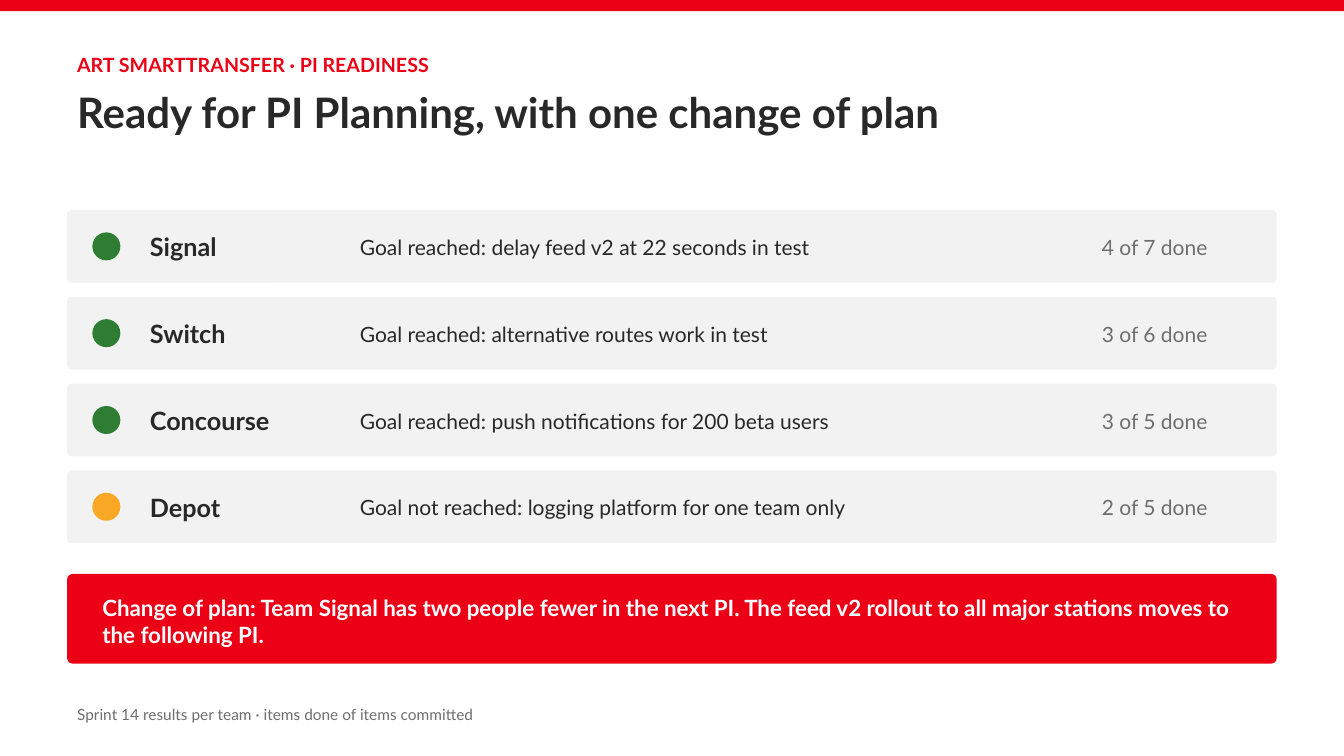
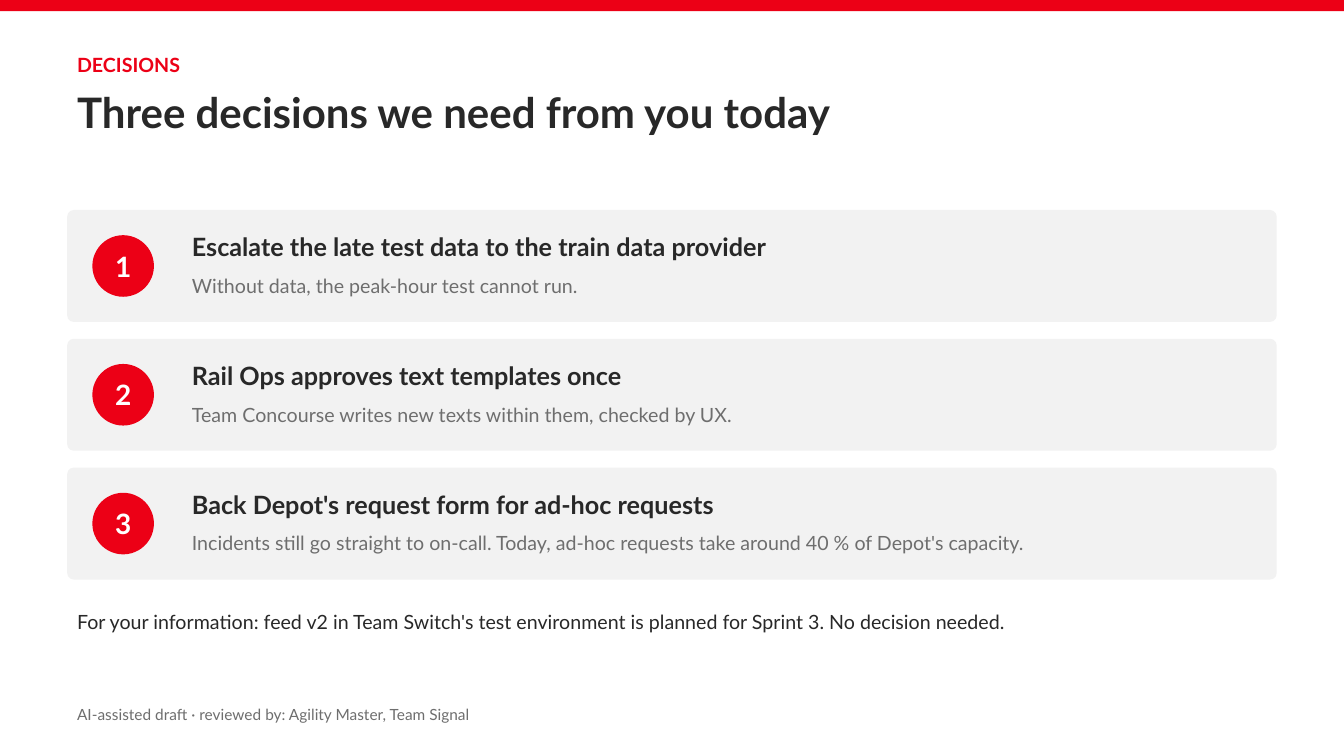
"""Build the PI readiness and decision slides."""
from dataclasses import dataclass

from pptx import Presentation
from pptx.dml.color import RGBColor
from pptx.enum.shapes import MSO_SHAPE
from pptx.enum.text import MSO_ANCHOR, MSO_AUTO_SIZE, PP_ALIGN
from pptx.shapes.autoshape import Shape
from pptx.slide import Slide
from pptx.util import Pt

COLORS = {
    "red": "EC0016",
    "ink": "282828",
    "gray": "6E6E6E",
    "panel": "F2F2F2",
    "green": "2E7D32",
    "amber": "F9A825",
    "white": "FFFFFF",
}
FONT = "Lato"
SLIDE_WIDTH, SLIDE_HEIGHT = 960, 540
MARGIN = 48
CONTENT_WIDTH = SLIDE_WIDTH - 2 * MARGIN
MARKER_LEFT = 66
LIST_TOP = 150
CORNER = 0.06


@dataclass(frozen=True)
class Box:
    left: float
    top: float
    width: float
    height: float

    def lengths(self) -> tuple[Pt, Pt, Pt, Pt]:
        return Pt(self.left), Pt(self.top), Pt(self.width), Pt(self.height)


@dataclass(frozen=True)
class Style:
    size: float
    color: str = "ink"
    bold: bool = False


@dataclass(frozen=True)
class TeamResult:
    team: str
    goal: str
    done: str
    status: str = "green"


@dataclass(frozen=True)
class Decision:
    request: str
    reason: str


EYEBROW = Style(14, "red", True)
TITLE = Style(30, bold=True)
HEADING = Style(18, bold=True)
GOAL = Style(15)
COUNT = Style(15, "gray")
CALLOUT = Style(16, "white", True)
NUMBER = Style(20, "white", True)
REASON = Style(14, "gray")
NOTE = Style(14)
FOOTER = Style(11, "gray")

TEAM_RESULTS = [
    TeamResult("Signal", "Goal reached: delay feed v2 at 22 seconds in test", "4 of 7 done"),
    TeamResult("Switch", "Goal reached: alternative routes work in test", "3 of 6 done"),
    TeamResult("Concourse", "Goal reached: push notifications for 200 beta users", "3 of 5 done"),
    TeamResult("Depot", "Goal not reached: logging platform for one team only", "2 of 5 done", "amber"),
]
DECISIONS = [
    Decision("Escalate the late test data to the train data provider",
             "Without data, the peak-hour test cannot run."),
    Decision("Rail Ops approves text templates once",
             "Team Concourse writes new texts within them, checked by UX."),
    Decision("Back Depot's request form for ad-hoc requests",
             "Incidents still go straight to on-call. Today, ad-hoc requests take "
             "around 40 % of Depot's capacity."),
]


def rgb(name: str) -> RGBColor:
    return RGBColor.from_string(COLORS[name])


def write(shape: Shape, text: str, style: Style) -> None:
    shape.text_frame.word_wrap = True
    run = shape.text_frame.paragraphs[0].add_run()
    run.text = text
    run.font.name = FONT
    run.font.size = Pt(style.size)
    run.font.bold = style.bold
    run.font.color.rgb = rgb(style.color)


def add_text(slide: Slide, box: Box, text: str, style: Style) -> None:
    shape = slide.shapes.add_textbox(*box.lengths())
    write(shape, text, style)
    shape.text_frame.auto_size = MSO_AUTO_SIZE.SHAPE_TO_FIT_TEXT


def add_fill(slide: Slide, kind: MSO_SHAPE, box: Box, color: str) -> Shape:
    shape = slide.shapes.add_shape(kind, *box.lengths())
    shape.shadow.inherit = False
    shape.fill.solid()
    shape.fill.fore_color.rgb = rgb(color)
    shape.line.fill.background()
    return shape


def add_panel(slide: Slide, top: float, height: float, color: str = "panel") -> None:
    box = Box(MARGIN, top, CONTENT_WIDTH, height)
    add_fill(slide, MSO_SHAPE.ROUNDED_RECTANGLE, box, color).adjustments[0] = CORNER


def add_marker(slide: Slide, top: float, size: float, color: str) -> Shape:
    return add_fill(slide, MSO_SHAPE.OVAL, Box(MARKER_LEFT, top, size, size), color)


def add_framed_slide(deck: Presentation, eyebrow: str, title: str, footer: str) -> Slide:
    slide = deck.slides.add_slide(deck.slide_layouts[6])
    slide.background.fill.solid()
    slide.background.fill.fore_color.rgb = rgb("white")
    add_fill(slide, MSO_SHAPE.RECTANGLE, Box(0, 0, SLIDE_WIDTH, 8), "red")
    add_text(slide, Box(MARGIN, 34, CONTENT_WIDTH, 24), eyebrow, EYEBROW)
    add_text(slide, Box(MARGIN, 58, CONTENT_WIDTH, 44), title, TITLE)
    add_text(slide, Box(MARGIN, 500, CONTENT_WIDTH, 21), footer, FOOTER)
    return slide


def add_team_row(slide: Slide, top: float, height: float, result: TeamResult) -> None:
    dot = 20
    add_panel(slide, top, height)
    add_marker(slide, top + (height - dot) / 2, dot, result.status)
    add_text(slide, Box(100, top + 12, 150, 29), result.team, HEADING)
    add_text(slide, Box(250, top + 14, 520, 25), result.goal, GOAL)
    add_text(slide, Box(780, top + 14, 120, 25), result.done, COUNT)


def add_decision_card(slide: Slide, top: float, height: float, number: int, decision: Decision) -> None:
    disc = 44
    add_panel(slide, top, height)
    marker = add_marker(slide, top + (height - disc) / 2, disc, "red")
    write(marker, str(number), NUMBER)
    marker.text_frame.vertical_anchor = MSO_ANCHOR.MIDDLE
    marker.text_frame.paragraphs[0].alignment = PP_ALIGN.CENTER
    add_text(slide, Box(130, top + 12, 760, 30), decision.request, HEADING)
    add_text(slide, Box(130, top + 42, 760, 24), decision.reason, REASON)


def build_readiness(deck: Presentation) -> None:
    slide = add_framed_slide(
        deck,
        "ART SMARTTRANSFER · PI READINESS",
        "Ready for PI Planning, with one change of plan",
        "Sprint 14 results per team · items done of items committed",
    )
    height, gap = 52, 10
    for index, result in enumerate(TEAM_RESULTS):
        add_team_row(slide, LIST_TOP + index * (height + gap), height, result)
    add_panel(slide, 410, 64, "red")
    add_text(
        slide,
        Box(MARKER_LEFT, 421, 830, 46),
        "Change of plan: Team Signal has two people fewer in the next PI. "
        "The feed v2 rollout to all major stations moves to the following PI.",
        CALLOUT,
    )


def build_decisions(deck: Presentation) -> None:
    slide = add_framed_slide(
        deck,
        "DECISIONS",
        "Three decisions we need from you today",
        "AI-assisted draft · reviewed by: Agility Master, Team Signal",
    )
    height, gap = 80, 12
    for index, decision in enumerate(DECISIONS):
        add_decision_card(slide, LIST_TOP + index * (height + gap), height, index + 1, decision)
    add_text(
        slide,
        Box(MARGIN, 432, CONTENT_WIDTH, 24),
        "For your information: feed v2 in Team Switch's test environment "
        "is planned for Sprint 3. No decision needed.",
        NOTE,
    )


def main() -> None:
    deck = Presentation()
    deck.slide_width, deck.slide_height = Pt(SLIDE_WIDTH), Pt(SLIDE_HEIGHT)
    build_readiness(deck)
    build_decisions(deck)
    deck.save("out.pptx")


main()
